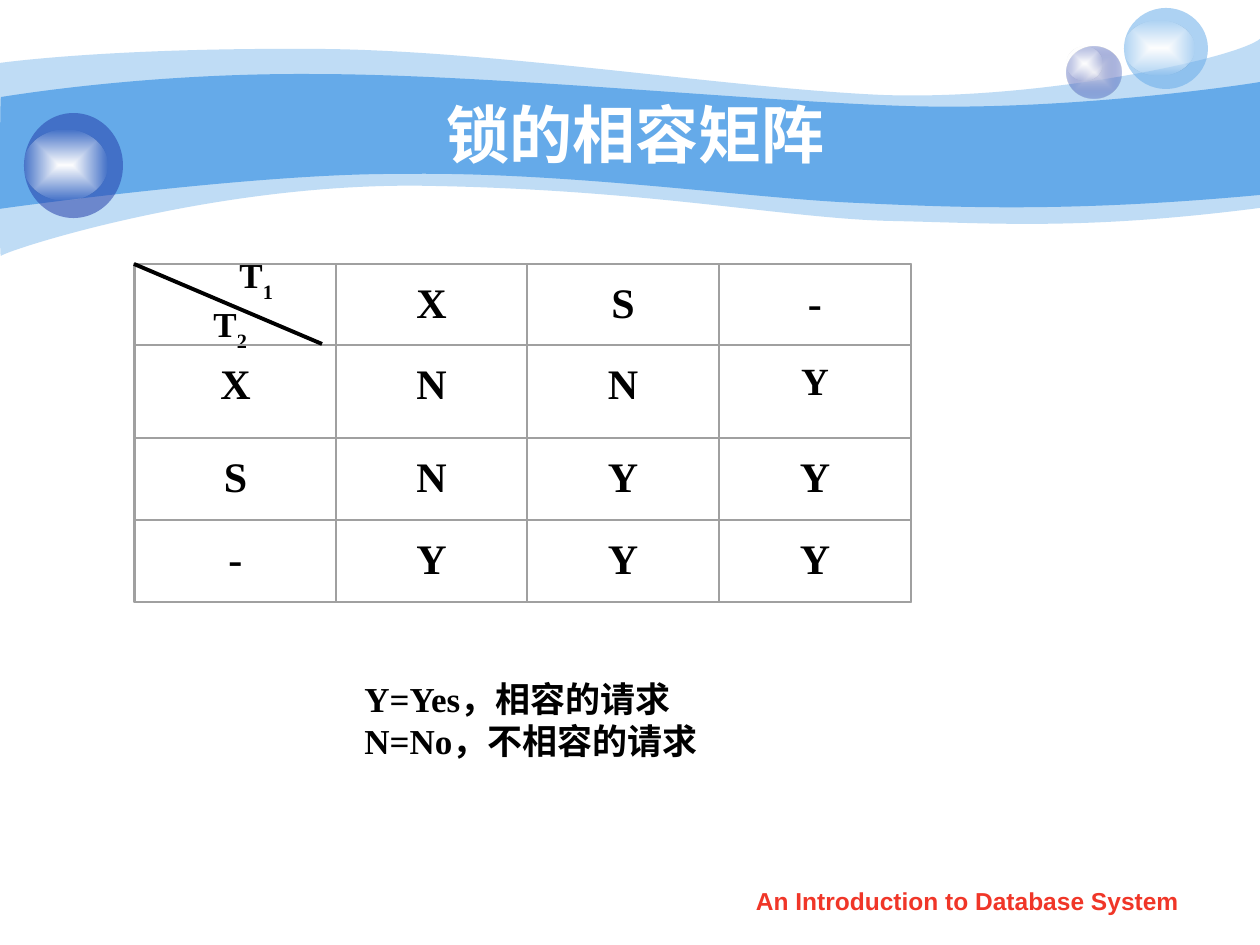
import itertools

import pptx
import pptx.dml.color
import pptx.enum.shapes
import pptx.enum.text
import pptx.oxml
import pptx.oxml.ns
import pptx.util

ALIGN = pptx.enum.text.PP_ALIGN
ANCHOR = pptx.enum.text.MSO_ANCHOR
SHAPES = pptx.enum.shapes
NAMESPACE = pptx.oxml.ns.nsdecls("a")

THEME = {
    "sky": "65AAE9", "navy": "233DA9", "mist": "E1E2ED", "white": "FFFFFF",
    "black": "000000", "red": "F03628", "grid": "A0A0A0",
    "sans": "Arial", "serif": "Times New Roman",
    "title": 36, "cell": 24, "small_cell": 22, "note": 20, "footer": 14,
    "inner_line": 0, "outer_line": 0.87, "diagonal": 2.25,
}

TITLE = "锁的相容矩阵"
FOOTER = "An Introduction to Database System"
LEGEND = ["Y=Yes，相容的请求", "N=No，不相容的请求"]
MATRIX = [
    ["", "X", "S", "-"],
    ["X", "N", "N", "Y"],
    ["S", "N", "Y", "Y"],
    ["-", "Y", "Y", "Y"],
]
SMALL_CELL = (1, 3)
GRID_LEFT, GRID_TOP = 135, 264
COLUMNS = [201, 191, 192, 192]
ROWS = [81, 93, 82, 82]
CELL_INSET, CELL_MARGIN_TOP = 19, 12
CORNER = ["T", "1", "\v", "T", "2"]
CORNER_INDENTS = {"marL": 16, "indent": 26}

# Each wave: opacity, start, curves along the top, right foot, curves back.
WAVES = [
    (41, (0, 63),
     [(30, 59, 135, 48, 311, 49), (486, 49, 725, 88, 881, 95),
      (1036, 101, 1235, 59, 1260, 39)],
     (1260, 208),
     [(1081, 231, 992, 223, 888, 221), (784, 218, 649, 190, 432, 186),
      (217, 181, 5, 251, 1, 256), (-1, 262, 0, 95, 0, 63)]),
    (100, (1, 97),
     [(3, 97, 139, 73, 312, 74), (486, 74, 750, 101, 905, 106),
      (1060, 111, 1230, 87, 1260, 82)],
     (1260, 195),
     [(1075, 212, 964, 208, 859, 203), (755, 199, 563, 171, 399, 174),
      (256, 173, -3, 209, -1, 209), (0, 209, 0, 97, 1, 97)]),
]

GLOW = [("white", 100), ("white", 0)]
# Each bubble: left, top, width, height, colour stops with opacity.
BUBBLES = [
    (1067, 47, 54, 52, [("mist", 100), ("navy", 31)]),
    (1067, 47, 36, 34, GLOW),
    (1124, 8, 84, 81, [("sky", 53)]),
    (1124, 21, 70, 54, GLOW),
    (24, 113, 99, 105, [("navy", 53)]),
    (24, 130, 83, 70, GLOW),
]


def px(length):
    return round(length * 914400 / 126)


def colour(name):
    return pptx.dml.color.RGBColor.from_string(THEME[name])


def colour_xml(name, opacity):
    return (f'<a:srgbClr val="{THEME[name]}">'
            f'<a:alpha val="{opacity * 1000}"/></a:srgbClr>')


def paint(shape, stops):
    """Fill with one colour, or with a gradient running out from the centre."""
    if len(stops) == 1:
        xml = f"<a:solidFill {NAMESPACE}>{colour_xml(*stops[0])}</a:solidFill>"
    else:
        marks = "".join(f'<a:gs pos="{index * 100000}">{colour_xml(*stop)}</a:gs>'
                        for index, stop in enumerate(stops))
        xml = (f'<a:gradFill {NAMESPACE} rotWithShape="1"><a:gsLst>{marks}</a:gsLst>'
               '<a:path path="shape"><a:fillToRect l="50000" t="50000" '
               'r="50000" b="50000"/></a:path></a:gradFill>')
    shape.fill.background()
    properties = shape._element.spPr
    blank = properties.find(pptx.oxml.ns.qn("a:noFill"))
    properties.replace(blank, pptx.oxml.parse_xml(xml))
    shape.line.fill.background()
    shape.shadow.inherit = False


def add_wave(page, opacity, start, top, foot, bottom):
    """Draw the outline through the end points, then bend all sides but the foot."""
    sides = top + [foot] + bottom
    builder = page.shapes.build_freeform(px(start[0]), px(start[1]), scale=1.0)
    builder.add_line_segments([(px(side[-2]), px(side[-1])) for side in sides])
    wave = builder.convert_to_shape()
    segments = list(wave._element.iter(pptx.oxml.ns.qn("a:lnTo")))
    for segment, side in zip(segments, sides):
        if len(side) == 6:
            points = "".join(
                f'<a:pt x="{px(x) - wave.left}" y="{px(y) - wave.top}"/>'
                for x, y in zip(side[::2], side[1::2]))
            segment.getparent().replace(segment, pptx.oxml.parse_xml(
                f"<a:cubicBezTo {NAMESPACE}>{points}</a:cubicBezTo>"))
    paint(wave, [("sky", opacity)])


def format_font(font, size, face="serif", ink="black"):
    values = {"size": pptx.util.Pt(THEME[size]), "name": THEME[face], "bold": True}
    for name, value in values.items():
        setattr(font, name, value)
    font.color.rgb = colour(ink)


def add_text(page, place, lines, size, face="serif", ink="black", **paragraph_format):
    box = page.shapes.add_textbox(*map(px, place))
    frame = box.text_frame
    frame.word_wrap = True
    for index, line in enumerate(lines):
        para = frame.paragraphs[0] if index == 0 else frame.add_paragraph()
        for name, value in paragraph_format.items():
            setattr(para, name, value)
        if line:
            span = para.add_run()
            span.text = line
            format_font(span.font, size, face, ink)
    return box


def add_frame(page, place, weight):
    frame = page.shapes.add_shape(SHAPES.MSO_SHAPE.RECTANGLE, *map(px, place))
    frame.fill.background()
    frame.line.color.rgb = colour("grid")
    frame.line.width = pptx.util.Pt(THEME[weight])
    frame.shadow.inherit = False


def add_corner(page):
    box = add_text(page, (185, 248, 111, 97), [""], "note",
                   line_spacing=pptx.util.Pt(28))
    para = box.text_frame.paragraphs[0]
    for name, length in CORNER_INDENTS.items():
        para._p.get_or_add_pPr().set(name, str(px(length)))
    for text in CORNER:
        if text == "\v":
            para.add_line_break()
            continue
        span = para.add_run()
        span.text = text
        format_font(span.font, "note")
        if text.isdigit():
            span.font._element.set("baseline", "-30000")


def add_matrix(page):
    lefts = list(itertools.accumulate(COLUMNS, initial=GRID_LEFT))
    tops = list(itertools.accumulate(ROWS, initial=GRID_TOP))
    for row, texts in enumerate(MATRIX):
        for column, text in enumerate(texts):
            left, top = lefts[column], tops[row]
            width, height = COLUMNS[column], ROWS[row]
            if text:
                size = "small_cell" if (row, column) == SMALL_CELL else "cell"
                box = add_text(
                    page, (left + CELL_INSET, top, width - 2 * CELL_INSET, height),
                    [text], size, alignment=ALIGN.CENTER)
                box.text_frame.margin_top = px(CELL_MARGIN_TOP)
            else:
                add_corner(page)
            add_frame(page, (left, top, width, height), "inner_line")
    add_frame(page, (GRID_LEFT - 1, GRID_TOP, sum(COLUMNS) + 1, sum(ROWS)), "outer_line")
    line = page.shapes.add_connector(
        SHAPES.MSO_CONNECTOR.STRAIGHT, px(GRID_LEFT - 1), px(GRID_TOP), px(322), px(344))
    line.line.color.rgb = colour("black")
    line.line.width = pptx.util.Pt(THEME["diagonal"])
    line._element.spPr.append(pptx.oxml.parse_xml(f"<a:effectLst {NAMESPACE}/>"))


def main():
    deck = pptx.Presentation()
    deck.slide_width, deck.slide_height = px(1260), px(945)
    page = deck.slides.add_slide(deck.slide_layouts[6])
    for wave in WAVES:
        add_wave(page, *wave)
    for *place, stops in BUBBLES:
        bubble = page.shapes.add_shape(SHAPES.MSO_SHAPE.OVAL, *map(px, place))
        paint(bubble, stops)
    add_text(page, (719, 880, 497, 44), [FOOTER], "footer", "sans", "red",
             alignment=ALIGN.CENTER)
    title = add_text(page, (127, 94, 1018, 78), [TITLE], "title", "sans", "white",
                     alignment=ALIGN.CENTER)
    title.text_frame.vertical_anchor = ANCHOR.MIDDLE
    add_text(page, (352, 671, 387, 152), LEGEND, "note",
             line_spacing=pptx.util.Pt(24))
    add_matrix(page)
    deck.save("out.pptx")


if __name__ == "__main__":
    main()
